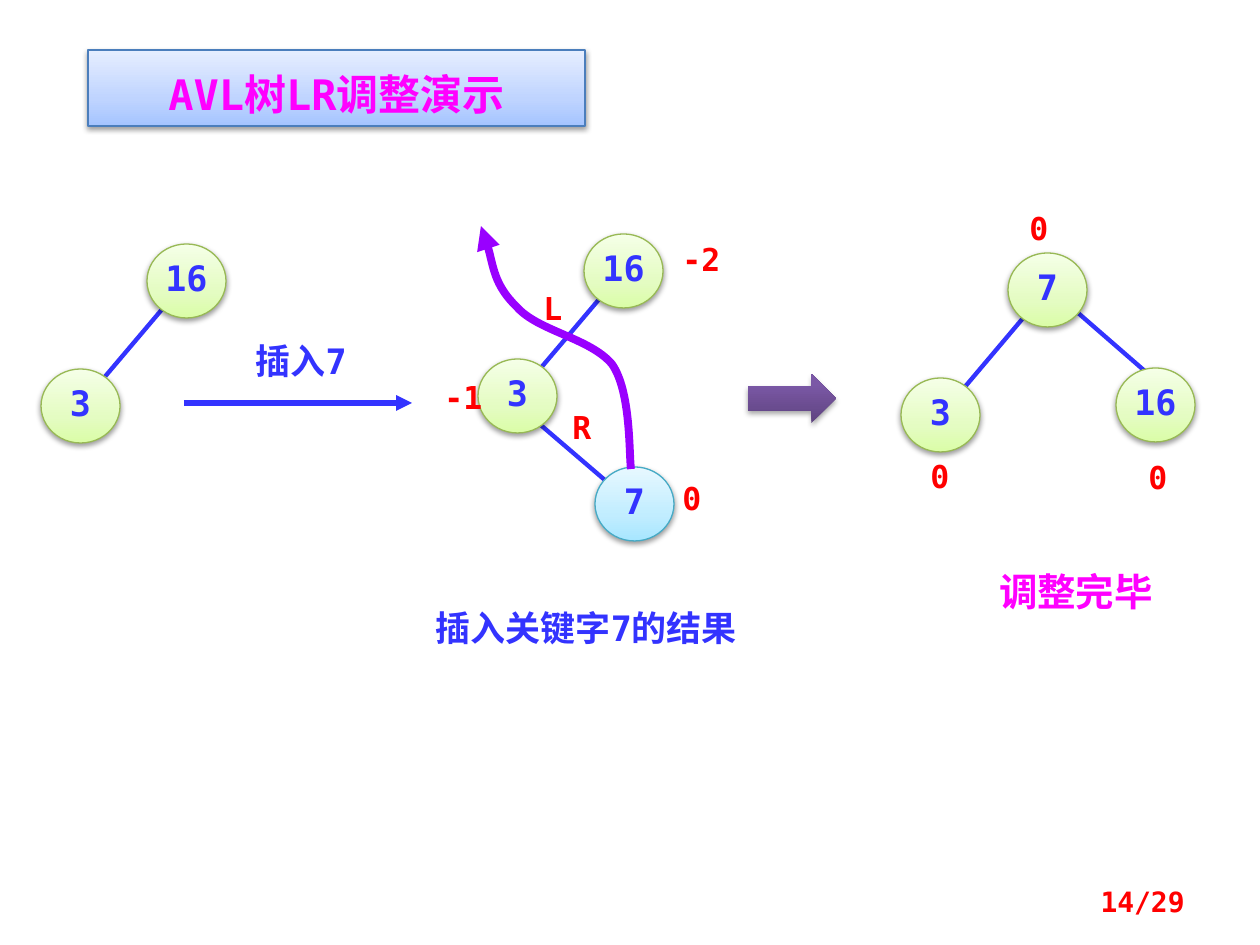
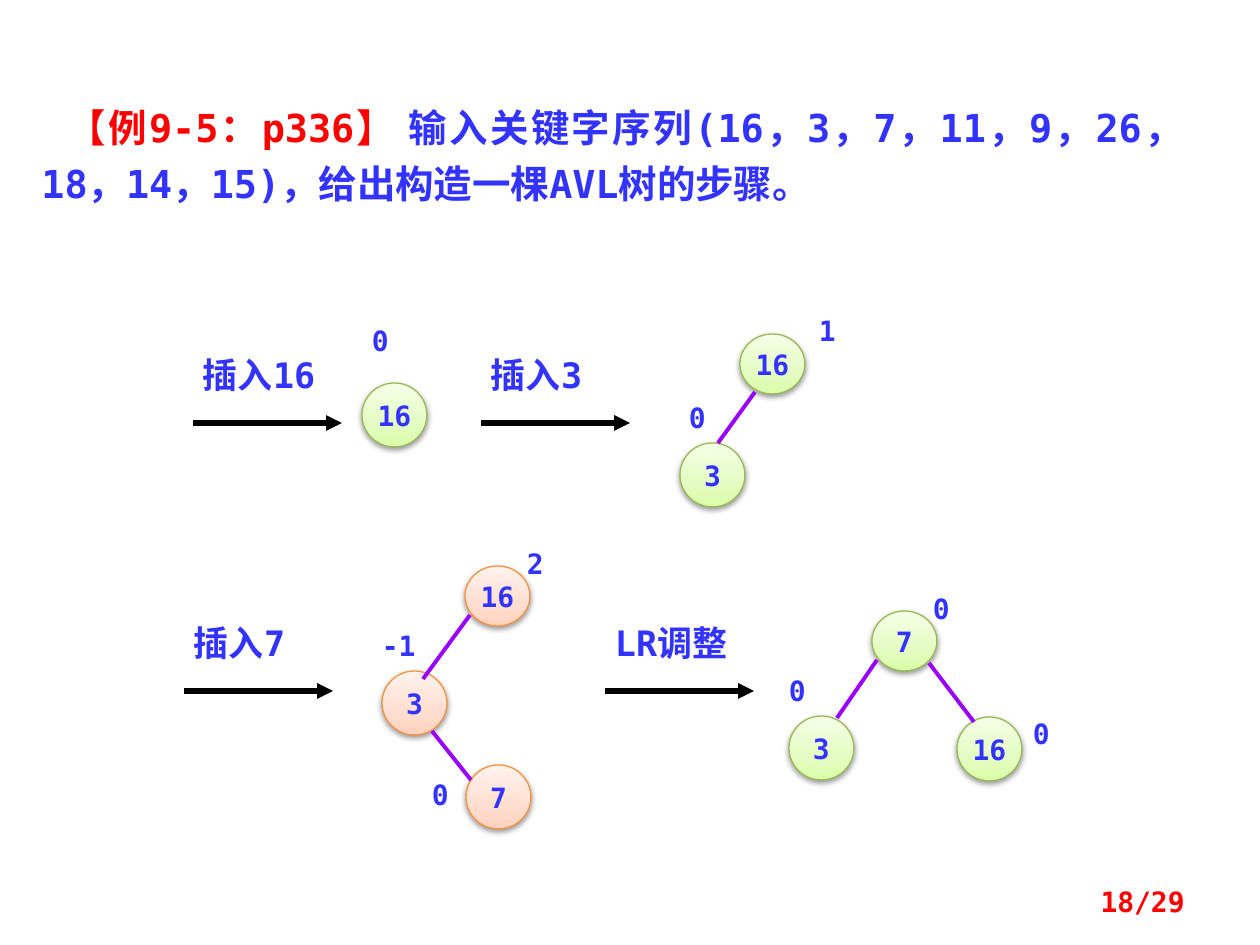
from dataclasses import dataclass

from lxml.etree import SubElement
from pptx import Presentation
from pptx.dml.color import RGBColor
from pptx.enum.shapes import MSO_CONNECTOR, MSO_SHAPE
from pptx.enum.text import MSO_ANCHOR, PP_ALIGN
from pptx.oxml.ns import qn
from pptx.util import Emu, Pt

PX = 914400 / 126


@dataclass(frozen=True)
class Theme:
    font: str = "DejaVu Sans Mono"
    blue: str = "3333FF"
    red: str = "FF0000"
    magenta: str = "FF00FF"
    purple: str = "9900FF"
    black: str = "000000"
    title: int = 24
    lead: int = 22
    label: int = 20
    mark: int = 18
    small: int = 16


@dataclass(frozen=True)
class Skin:
    """Gradient stops from bottom to top, outline colour and shadow opacity."""
    stops: tuple
    outline: str | None
    opacity: int = 38


THEME = Theme()
GREEN = Skin(((0, "DAFDA7"), (35, "E4FCC2"), (100, "F5FFE7")), "98B955")
CYAN = Skin(((0, "A7E6FF"), (35, "C1EDFF"), (100, "E7F8FF")), "46AAC5")
ORANGE = Skin(((0, "FFD2BD"), (35, "FFDED0"), (100, "FFF2ED")), "F69240")
BAND = Skin(((0, "A4C4FF"), (35, "BFD4FF"), (100, "E6EEFF")), "4B7EBC")
VIOLET = Skin(((0, "5F4480"), (80, "7B58A6"), (100, "7C57A8")), None, 35)

# Rotation demo: nodes are (key, left, top, skin), edges (x1, y1, x2, y2)
DEMO_TITLE = "AVL树LR调整演示"
DEMO_NODES = [
    ("16", 147, 244, GREEN), ("3", 41, 369, GREEN),
    ("16", 584, 234, GREEN), ("3", 478, 359, GREEN), ("7", 595, 467, CYAN),
    ("7", 1008, 253, GREEN), ("3", 901, 378, GREEN), ("16", 1116, 368, GREEN),
]
DEMO_EDGES = [
    (164, 307, 92, 392),
    (601, 297, 529, 382), (529, 415, 606, 481),
    (1024, 317, 953, 401), (1077, 312, 1154, 379),
]
DEMO_MARKS = [
    ("R", 560, 402), ("L", 531, 283),
    ("0", 670, 473), ("-2", 670, 234), ("-1", 432, 372),
    ("0", 1017, 203), ("0", 918, 451), ("0", 1136, 452),
]
ROTATION_CURVE = [
    (631, 469),
    (629, 452), (631, 391), (612, 364),
    (590, 338), (538, 331), (517, 307),
    (494, 285), (489, 243), (481, 226),
]

# Worked example: nodes are (key, left, top, height, skin)
EXAMPLE_TEXT = [
    ("【例9-5：p336】 ", THEME.red),
    ("输入关键字序列(16，3，7，11，9，26，18，14，15)，给出构造一棵AVL树的步骤。", THEME.blue),
]
EXAMPLE_STEPS = [("插入16", 193, 423), ("插入3", 481, 423),
                 ("插入7", 184, 691), ("LR调整", 605, 691)]
EXAMPLE_NODES = [
    ("16", 362, 383, 64, GREEN),
    ("16", 740, 334, 60, GREEN), ("3", 680, 443, 64, GREEN),
    ("16", 465, 566, 60, ORANGE), ("3", 382, 671, 64, ORANGE), ("7", 466, 765, 64, ORANGE),
    ("7", 872, 611, 60, GREEN), ("3", 789, 716, 64, GREEN), ("16", 957, 717, 64, GREEN),
]
EXAMPLE_EDGES = [
    (755, 392, 718, 443),
    (470, 615, 423, 679), (432, 731, 471, 780),
    (877, 660, 837, 718), (929, 663, 974, 722),
]
EXAMPLE_BALANCES = [
    ("0", 372, 324), ("0", 689, 401), ("1", 819, 314),
    ("-1", 382, 629), ("2", 527, 547), ("0", 432, 778),
    ("0", 789, 674), ("0", 933, 592), ("0", 1033, 717),
]


def px(*values):
    return [Emu(round(value * PX)) for value in values]


def rgb(code):
    return RGBColor.from_string(code)


def write(shape, spans, size, align=PP_ALIGN.LEFT, anchor=MSO_ANCHOR.TOP,
          pad=None, spacing=None, indent=0):
    """Put one paragraph of (text, colour) spans in a shape; pad is left, top, right, bottom."""
    frame = shape.text_frame
    frame.word_wrap = True
    frame.vertical_anchor = anchor
    if pad:
        (frame.margin_left, frame.margin_top,
         frame.margin_right, frame.margin_bottom) = px(*pad)
    para = frame.paragraphs[0]
    para.alignment = align
    if spacing:
        para.line_spacing = spacing
    if indent:
        para._p.get_or_add_pPr().set("indent", str(px(indent)[0]))
    para.font.name, para.font.size, para.font.bold = THEME.font, Pt(size), True
    for text, color in spans:
        span = para.add_run()
        span.text = text
        span.font.color.rgb = rgb(color)


def add_text(page, box, text, size, color, **layout):
    write(page.shapes.add_textbox(*px(*box)), [(text, color)], size, **layout)


def add_skinned(page, kind, box, skin):
    """Add a preset shape with an upward gradient, thin outline and soft shadow."""
    shape = page.shapes.add_shape(kind, *px(*box))
    properties = shape._element.spPr
    gradient = SubElement(properties, qn("a:gradFill"), rotWithShape="1")
    stops = SubElement(gradient, qn("a:gsLst"))
    for position, color in skin.stops:
        stop = SubElement(stops, qn("a:gs"), pos=str(position * 1000))
        SubElement(stop, qn("a:srgbClr"), val=color)
    SubElement(gradient, qn("a:lin"), ang="16200000", scaled="0")
    if skin.outline:
        shape.line.color.rgb = rgb(skin.outline)
        shape.line.width = Pt(0.75)
    else:
        shape.line.fill.background()
    shape.shadow.inherit = False
    shadow = SubElement(properties.find(qn("a:effectLst")), qn("a:outerShdw"),
                        blurRad="40000", dist="20000", dir="5400000", rotWithShape="0")
    color = SubElement(shadow, qn("a:srgbClr"), val=THEME.black)
    SubElement(color, qn("a:alpha"), val=str(skin.opacity * 1000))
    return shape


def style_line(line, color, width, arrow):
    line.color.rgb = rgb(color)
    line.width = Pt(width)
    if arrow:
        SubElement(line._get_or_add_ln(), qn("a:tailEnd"), type="triangle")


def add_line(page, ends, color, width, arrow=False):
    line = page.shapes.add_connector(MSO_CONNECTOR.STRAIGHT, *px(*ends))
    style_line(line.line, color, width, arrow)
    SubElement(line._element.spPr, qn("a:effectLst"))


def add_curve(page, points, color, width):
    """Draw a Bezier arrow: a start point, then three points for each segment."""
    builder = page.shapes.build_freeform(*points[0], scale=PX)
    builder.add_line_segments(points[1:], close=False)
    curve = builder.convert_to_shape()
    curve.fill.background()
    curve.shadow.inherit = False
    style_line(curve.line, color, width, arrow=True)
    outline = curve._element.spPr.find(".//" + qn("a:path"))
    segments = outline.findall(qn("a:lnTo"))
    for first in range(0, len(segments), 3):
        bezier = SubElement(outline, qn("a:cubicBezTo"))
        for segment in segments[first:first + 3]:
            bezier.append(segment[0])
            outline.remove(segment)


def add_page(deck, number):
    page = deck.slides.add_slide(deck.slide_layouts[6])
    add_text(page, (903, 876, 294, 50), f"{number}/29", THEME.small, THEME.red,
             align=PP_ALIGN.RIGHT, anchor=MSO_ANCHOR.MIDDLE)
    return page


def build_demo(deck):
    page = add_page(deck, 14)
    for ends in DEMO_EDGES:
        add_line(page, ends, THEME.blue, 2.5)
    for key, left, top, skin in DEMO_NODES:
        node = add_skinned(page, MSO_SHAPE.OVAL, (left, top, 79, 74), skin)
        write(node, [(key, THEME.blue)], THEME.label, PP_ALIGN.CENTER,
              pad=(0, 10, 0, 6), spacing=0.8)
    for mark, left, top in DEMO_MARKS:
        add_text(page, (left, top, 70, 50), mark, THEME.mark, THEME.red)
    add_text(page, (243, 333, 129, 54), "插入7", THEME.label, THEME.blue)
    add_line(page, (184, 403, 412, 403), THEME.blue, 3, arrow=True)
    add_text(page, (423, 600, 358, 54), "插入关键字7的结果", THEME.label, THEME.blue)
    add_text(page, (957, 562, 238, 59), "调整完毕", THEME.lead, THEME.magenta,
             align=PP_ALIGN.CENTER)
    add_curve(page, ROTATION_CURVE, THEME.purple, 4.5)
    band = add_skinned(page, MSO_SHAPE.RECTANGLE, (88, 50, 497, 76), BAND)
    write(band, [(DEMO_TITLE, THEME.magenta)], THEME.title, PP_ALIGN.CENTER, spacing=1.25)
    add_skinned(page, MSO_SHAPE.RIGHT_ARROW, (748, 374, 88, 49), VIOLET)


def build_example(deck):
    page = add_page(deck, 18)
    question = page.shapes.add_textbox(*px(29, 89, 1166, 120))
    write(question, EXAMPLE_TEXT, THEME.lead, PP_ALIGN.JUSTIFY, spacing=1.2, indent=26)
    flush = (0, 0, 0, 0)
    for label, left, top in EXAMPLE_STEPS:
        add_line(page, (left, top, left + 149, top), THEME.black, 3, arrow=True)
        add_text(page, (left + 10, top - 70, 129, 42), label, THEME.label, THEME.blue, pad=flush)
    for key, left, top, height, skin in EXAMPLE_NODES:
        node = add_skinned(page, MSO_SHAPE.OVAL, (left, top, 65, height), skin)
        write(node, [(key, THEME.blue)], THEME.small, PP_ALIGN.CENTER,
              MSO_ANCHOR.MIDDLE, pad=flush)
    for ends in EXAMPLE_EDGES:
        add_line(page, ends, THEME.purple, 2.25)
    for balance, left, top in EXAMPLE_BALANCES:
        add_text(page, (left, top, 39, 34), balance, THEME.small, THEME.blue, pad=flush)


def main():
    deck = Presentation()
    deck.slide_width, deck.slide_height = px(1260, 945)
    build_demo(deck)
    build_example(deck)
    deck.save("out.pptx")


if __name__ == "__main__":
    main()
